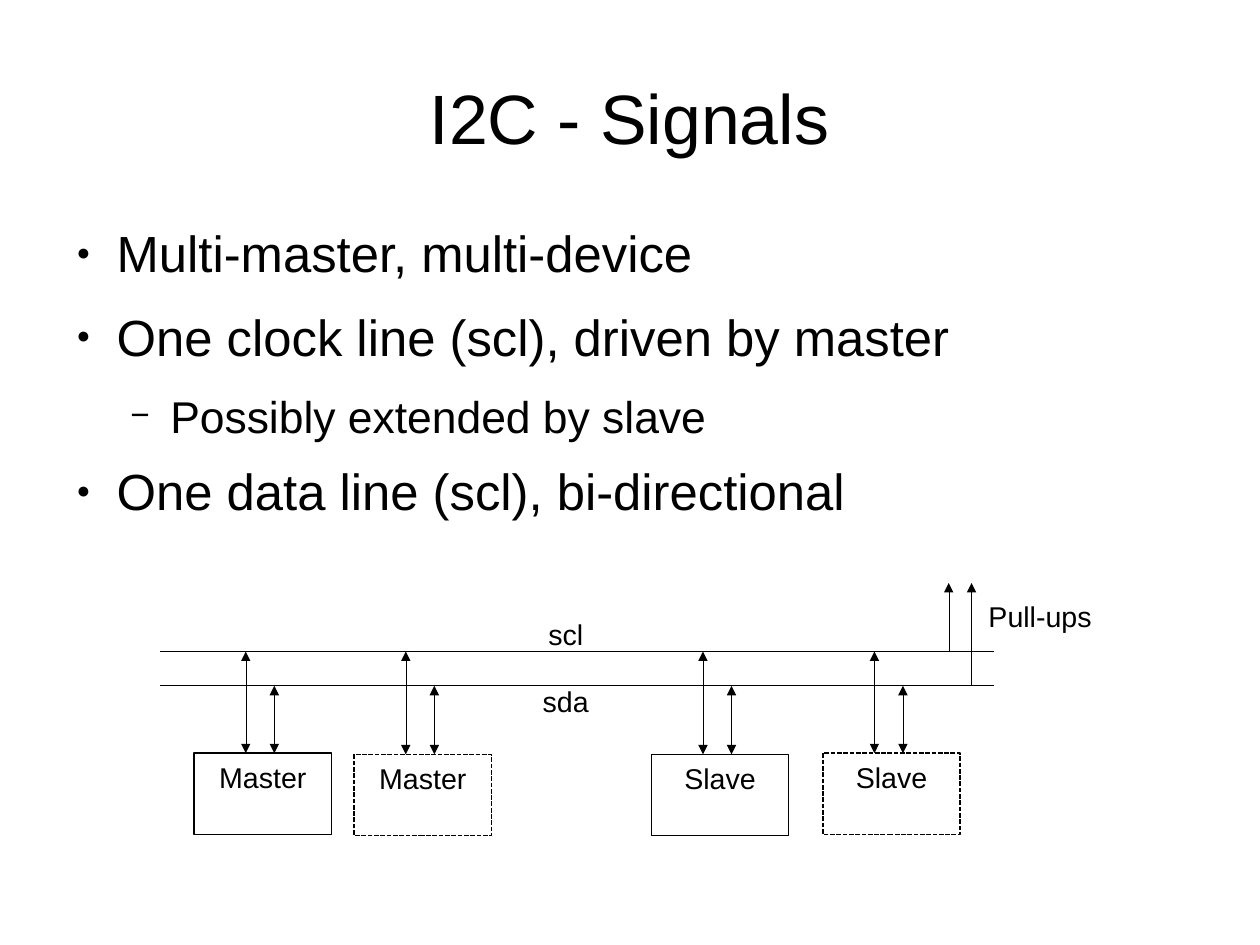
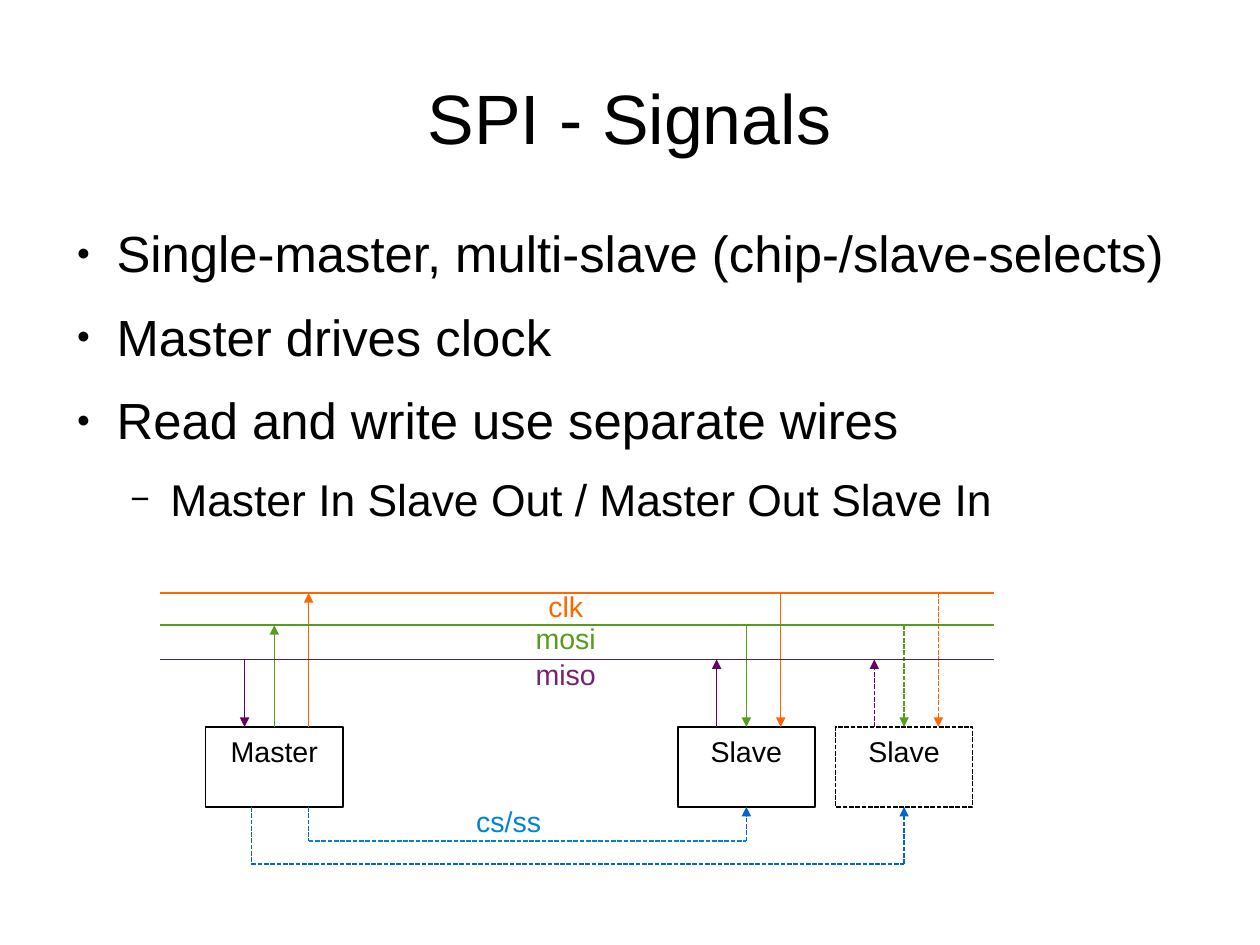
import pptx
import pptx.util
import pptx.dml.color
import pptx.enum.dml
import pptx.enum.shapes
import pptx.enum.text
from lxml import etree
from pptx.oxml.ns import qn

Inches, Pt, Cm = pptx.util.Inches, pptx.util.Pt, pptx.util.Cm
ALIGN = pptx.enum.text.PP_ALIGN
ANCHOR = pptx.enum.text.MSO_ANCHOR
DASH = pptx.enum.dml.MSO_LINE.SQUARE_DOT
TOP, BOTTOM = 0, 2

# Shared look
FONT = "Arial"
COLORS = {
    "ink": "000000", "clk": "FF6600", "mosi": "579D1C", "miso": "660066",
    "miso_rail": "4B1F6F", "miso_label": "77216F",
    "select": "0066CC", "select_light": "0084D1",
}
# Per level: size, left margin, space after, bullet, bullet size in percent
LEVELS = [(32, 0.47, 14.2, "●", 45), (28, 0.94, 11.3, "−", 75)]
HANG = 0.35
BOX_W = 1.2
RAIL = (1.4, 8.7)

# Content: titles and bullets as (level, text)
I2C = ("I2C - Signals", [
    (0, "Multi-master, multi-device"),
    (0, "One clock line (scl), driven by master"),
    (1, "Possibly extended by slave"),
    (0, "One data line (scl), bi-directional"),
])
SPI = ("SPI - Signals", [
    (0, "Single-master, multi-slave (chip-/slave-selects)"),
    (0, "Master drives clock"),
    (0, "Read and write use separate wires"),
    (1, "Master In Slave Out / Master Out Slave In"),
])

# Boxes: name, left, top, dashed
I2C_BOXES = [("Master", 1.7, 6.59, False), ("Master", 3.1, 6.6, True),
             ("Slave", 5.7, 6.6, False), ("Slave", 7.2, 6.59, True)]
SPI_BOXES = [("Master", 1.8, 6.36, False), ("Slave", 5.93, 6.36, False),
             ("Slave", 7.31, 6.36, True)]
# I2C buses: name, rail height, label top, wire offset in box, pull-up
I2C_BUSES = [("scl", 5.7, 5.36, 0.45, 8.3), ("sda", 6.0, 5.94, 0.7, 8.5)]
# SPI buses: name, rail height, label top, wire offset, rail and label colour
SPI_BUSES = [("clk", 5.19, 5.11, 0.9, "clk", "clk"),
             ("mosi", 5.47, 5.39, 0.6, "mosi", "mosi"),
             ("miso", 5.77, 5.71, 0.34, "miso_rail", "miso_label")]
# Selects: start, height, slave number, colour of the long part
SELECTS = [(2.7, 7.36, 1, "select_light"), (2.2, 7.56, 2, "select")]


def rgb(name):
    return pptx.dml.color.RGBColor.from_string(COLORS[name])


def write(shape, rows, size=18, color="ink", align=ALIGN.CENTER,
          anchor=ANCHOR.MIDDLE, inset=(0.1, 0.05), bullets=False):
    """Fill a shape with (level, text) rows."""
    frame = shape.text_frame
    frame.word_wrap = True
    frame.auto_size = pptx.enum.text.MSO_AUTO_SIZE.NONE
    frame.vertical_anchor = anchor
    frame.margin_left = frame.margin_right = Inches(inset[0])
    frame.margin_top = frame.margin_bottom = Inches(inset[1])
    for i, (level, words) in enumerate(rows):
        para = frame.add_paragraph() if i else frame.paragraphs[0]
        para.alignment = align
        run = para.add_run()
        run.text = words
        run.font.name = FONT
        run.font.size = Pt(LEVELS[level][0] if bullets else size)
        run.font.color.rgb = rgb(color)
        if bullets:
            para.level = level
            mark(para, *LEVELS[level][1:])


def mark(para, left, after, char, share):
    """Give a paragraph its hanging bullet."""
    para.space_after = Pt(after)
    props = para._p.get_or_add_pPr()
    props.set("marL", str(Inches(left)))
    props.set("indent", str(-Inches(HANG)))
    tint = etree.SubElement(props, qn("a:buClr"))
    etree.SubElement(tint, qn("a:srgbClr"), val=COLORS["ink"])
    etree.SubElement(props, qn("a:buSzPct"), val=str(share * 1000))
    etree.SubElement(props, qn("a:buFont"), typeface=FONT)
    etree.SubElement(props, qn("a:buChar"), char=char)


def label(slide, words, left, top, width=0.9, color="ink"):
    shape = slide.shapes.add_textbox(
        Inches(left), Inches(top), Inches(width), Inches(0.38))
    write(shape, [(0, words)], color=color)


def block(slide, name, left, top, dashed, height):
    shape = slide.shapes.add_shape(
        pptx.enum.shapes.MSO_SHAPE.RECTANGLE,
        Inches(left), Inches(top), Inches(BOX_W), Inches(height))
    shape.shadow.inherit = False
    shape.fill.background()
    shape.line.color.rgb = rgb("ink")
    shape.line.width = Pt(1)
    if dashed:
        shape.line.dash_style = DASH
    write(shape, [(0, name)], anchor=ANCHOR.TOP, inset=(0.11, 0.06))
    return shape


def wire(slide, start, end, color="ink", width=1, dashed=False,
         head=False, tail=False, begin=None, finish=None):
    """Draw a line; begin and finish are (box, side) joints."""
    line = slide.shapes.add_connector(
        pptx.enum.shapes.MSO_CONNECTOR.STRAIGHT,
        *[Inches(v) for v in (*start, *end)])
    if begin:
        line.begin_connect(*begin)
    if finish:
        line.end_connect(*finish)
    line.line.color.rgb = rgb(color)
    if dashed:
        line.line.dash_style = DASH
    stroke = line.line._get_or_add_ln()
    # A hairline needs its zero width written out
    stroke.set("w", str(Pt(width)))
    for shown, tag in ((head, "a:headEnd"), (tail, "a:tailEnd")):
        if shown:
            etree.SubElement(stroke, qn(tag), type="triangle")
    etree.SubElement(line._element.spPr, qn("a:effectLst"))


def page(deck, title, rows):
    slide = deck.slides.add_slide(deck.slide_layouts[5])
    head = slide.shapes.title
    head.left, head.top = Inches(0.55), Inches(0.33)
    head.width, head.height = Inches(9.92), Inches(1.38)
    write(head, [(0, title)], size=44, inset=(0, 0))
    body = slide.shapes.add_textbox(
        Inches(0.55), Inches(1.94), Inches(9.92), Inches(4.79))
    write(body, rows, align=ALIGN.LEFT, anchor=ANCHOR.TOP,
          inset=(0, 0), bullets=True)
    return slide


def draw_i2c(deck):
    slide = page(deck, *I2C)
    for name, left, top, dashed in I2C_BOXES:
        block(slide, name, left, top, dashed, 0.71)
    for bus, rail, high, shift, pull in I2C_BUSES:
        wire(slide, (RAIL[0], rail), (RAIL[1], rail), width=0.5)
        for _, left, top, _ in I2C_BOXES:
            x = left + shift
            wire(slide, (x, top), (x, rail), width=0, head=True, tail=True)
        wire(slide, (pull, rail), (pull, 5.1), width=0, tail=True)
        label(slide, bus, 4.5, high)
    label(slide, "Pull-ups", 8.5, 5.2, width=1.2)


def draw_spi(deck):
    slide = page(deck, *SPI)
    boxes = [block(slide, *row, 0.7) for row in SPI_BOXES]
    for bus, rail, high, shift, tint, ink in SPI_BUSES:
        wire(slide, (RAIL[0], rail), (RAIL[1], rail), tint)
        for box, (name, left, top, dashed) in zip(boxes, SPI_BOXES):
            x = left + shift
            ends = [(x, top), (x, rail)]
            joint = (box, TOP) if shift == BOX_W / 2 else None
            # Slaves drive miso, the master drives the rest
            if (name == "Slave") == (bus == "miso"):
                wire(slide, *ends, bus, dashed=dashed, tail=True, begin=joint)
            else:
                wire(slide, *ends[::-1], bus, dashed=dashed, tail=True,
                     finish=joint)
        label(slide, bus, 4.5, high, color=ink)

    # Select lines run below the boxes
    for start, low, number, color in SELECTS:
        _, left, top, _ = SPI_BOXES[number]
        x, base = left + BOX_W / 2, top + 0.7
        wire(slide, (start, base), (start, low), "select", dashed=True)
        wire(slide, (start, low), (x, low), color, dashed=True)
        wire(slide, (x, low), (x, base), "select", dashed=True, tail=True,
             finish=(boxes[number], BOTTOM))
    label(slide, "cs/ss", 4, 6.99, color="select_light")


def main():
    deck = pptx.Presentation()
    deck.slide_width, deck.slide_height = Cm(28), Cm(21)
    draw_i2c(deck)
    draw_spi(deck)
    deck.save("out.pptx")


if __name__ == "__main__":
    main()
